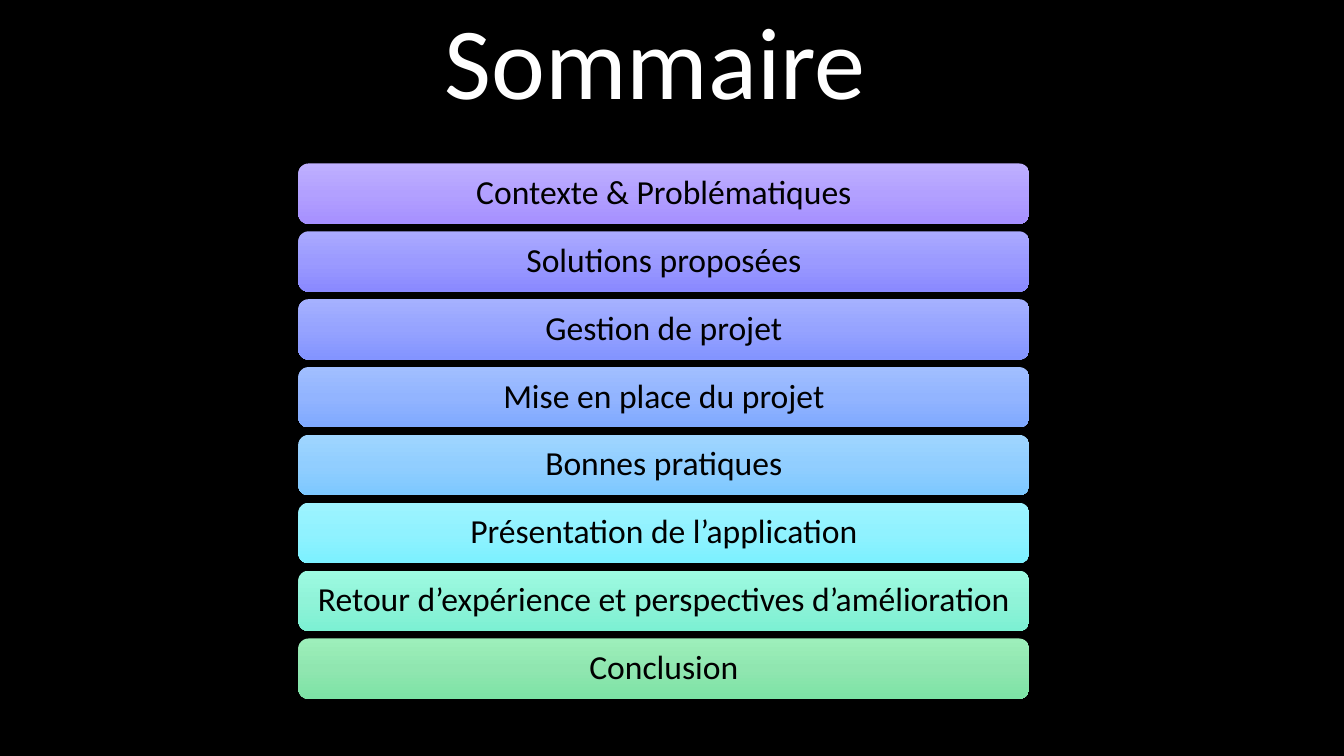
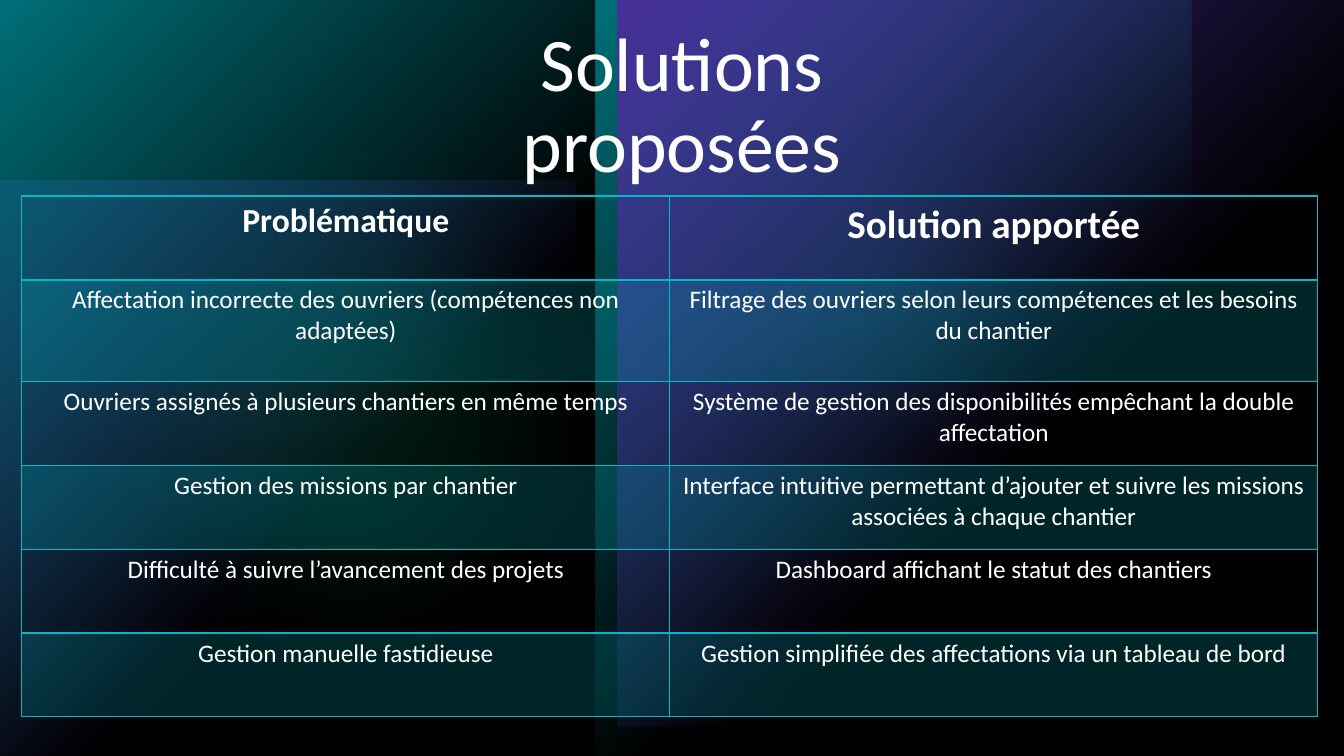
from lxml import etree
from pptx import Presentation
from pptx import util as u
from pptx.dml import color as dml
from pptx.enum import shapes, text
from pptx.oxml import ns

COLORS = {
    "black": "000000",
    "white": "FFFFFF",
    "teal": "00BAC8",
    "violet": "794DFF",
    "green": "00D17D",
}
FONT = "Calibri"
WIDTH, HEIGHT = 33.87, 19.05


def paint(properties, stops, angle=0):
    if len(stops) == 1:
        parents = [etree.SubElement(properties, ns.qn("a:solidFill"))]
    else:
        gradient = etree.SubElement(properties, ns.qn("a:gradFill"), rotWithShape="1")
        stop_list = etree.SubElement(gradient, ns.qn("a:gsLst"))
        parents = [
            etree.SubElement(stop_list, ns.qn("a:gs"), pos=str(position * 1000))
            for position, _, _ in stops
        ]
        etree.SubElement(gradient, ns.qn("a:lin"), ang=str(angle * 60000), scaled="0")
    for parent, (_, color, alpha) in zip(parents, stops):
        value = etree.SubElement(parent, ns.qn("a:srgbClr"), val=color)
        if alpha < 100:
            etree.SubElement(value, ns.qn("a:alpha"), val=str(alpha * 1000))


def write(frame, content, size, color, bold=False, spacing=1.0):
    frame.word_wrap = True
    paragraph = frame.paragraphs[0]
    paragraph.alignment = text.PP_ALIGN.CENTER
    paragraph.line_spacing = spacing
    run = paragraph.add_run()
    run.text = content
    run.font.name = FONT
    run.font.size = u.Pt(size)
    run.font.bold = bold
    run.font.color.rgb = dml.RGBColor.from_string(COLORS[color])


presentation = Presentation()
presentation.slide_width = u.Cm(WIDTH)
presentation.slide_height = u.Cm(HEIGHT)
background = presentation.slide_master.background.fill
background.solid()
background.fore_color.rgb = dml.RGBColor.from_string(COLORS["black"])
blank = presentation.slide_layouts[6]
summary = presentation.slides.add_slide(blank)
solutions = presentation.slides.add_slide(blank)

chapters = [
    ("Contexte & Problématiques", "BFB0FF", "B2A0FF", "A690FF"),
    ("Solutions proposées", "AAAAFF", "9B9AFF", "8A89FF"),
    ("Gestion de projet", "A5B1FF", "96A3FF", "8394FF"),
    ("Mise en place du projet", "A1BFFF", "92B4FF", "7FA9FF"),
    ("Bonnes pratiques", "9FD5FF", "91CEFF", "7DC8FF"),
    ("Présentation de l’application", "9EF4FF", "90F2FF", "7CF1FF"),
    ("Retour d’expérience et perspectives d’amélioration", "9DFBE1", "90F3D8", "7CF1D3"),
    ("Conclusion", "9DEFBB", "90E6B0", "7CE3A5"),
]
for index, (chapter, top_color, middle_color, bottom_color) in enumerate(chapters):
    shape = summary.shapes.add_shape(
        shapes.MSO_SHAPE.ROUNDED_RECTANGLE,
        u.Cm(7.52), u.Cm(4.12 + index * 1.71), u.Cm(18.42), u.Cm(1.52),
    )
    stops = [(0, top_color, 100), (50, middle_color, 100), (100, bottom_color, 100)]
    paint(shape._element.spPr, stops, 90)
    shape.line.fill.background()
    shape.shadow.inherit = False
    shape.text_frame.vertical_anchor = text.MSO_ANCHOR.MIDDLE
    write(shape.text_frame, chapter, 24, "black", spacing=0.9)

rectangle, oval = shapes.MSO_SHAPE.RECTANGLE, shapes.MSO_SHAPE.OVAL
teal_glow = [(0, COLORS["teal"], 100), (60, COLORS["teal"], 0)]
violet_glow = [(0, COLORS["violet"], 100), (60, COLORS["violet"], 0)]
faint_violet_glow = [(0, COLORS["violet"], 60), (60, COLORS["violet"], 0)]
backdrop = [
    (rectangle, 0, 4.56, 14.5, 14.5, faint_violet_glow),
    (oval, 15.98, 1.09, 11.99, 11.99, [(0, COLORS["green"], 60)]),
    (oval, 0, 1.42, 17.63, 17.63, [(0, COLORS["green"], 20)]),
    (rectangle, 0, 0, 15.01, HEIGHT, teal_glow),
    (rectangle, 15.01, 0, 15.01, HEIGHT, teal_glow),
    (rectangle, 15.56, 0, 18.31, 18.31, violet_glow),
    (rectangle, 0, 0, WIDTH, HEIGHT, [(0, COLORS["black"], 40)]),
]
for kind, left, top, width, height, stops in backdrop:
    shape = solutions.shapes.add_shape(kind, u.Cm(left), u.Cm(top), u.Cm(width), u.Cm(height))
    paint(shape._element.spPr, stops, 45)
    shape.line.fill.background()
    shape.shadow.inherit = False
    if kind == oval:
        effects = shape._element.spPr.find(ns.qn("a:effectLst"))
        etree.SubElement(effects, ns.qn("a:softEdge"), rad="1270000")

titles = [
    (summary, "Sommaire", 72.9, (10.8, 0.03, 11.43, 3.15), 0.25, text.MSO_ANCHOR.BOTTOM),
    (solutions, "Solutions proposées", 54, (9.17, 0.53, 16.03, 2.21), 0.8, text.MSO_ANCHOR.TOP),
]
for slide, title, size, box, inset, anchor in titles:
    frame = slide.shapes.add_textbox(*map(u.Cm, box)).text_frame
    frame.margin_left = frame.margin_right = u.Cm(inset)
    frame.vertical_anchor = anchor
    write(frame, title, size, "white", spacing=0.9)

rows = [
    ("Problématique", "Solution apportée"),
    (
        "Affectation incorrecte des ouvriers (compétences non adaptées)",
        "Filtrage des ouvriers selon leurs compétences et les besoins du chantier",
    ),
    (
        "Ouvriers assignés à plusieurs chantiers en même temps",
        "Système de gestion des disponibilités empêchant la double affectation",
    ),
    (
        "Gestion des missions par chantier",
        "Interface intuitive permettant d’ajouter et suivre les missions associées à chaque chantier",
    ),
    (
        "Difficulté à suivre l’avancement des projets",
        "Dashboard affichant le statut des chantiers",
    ),
    (
        "Gestion manuelle fastidieuse",
        "Gestion simplifiée des affectations via un tableau de bord",
    ),
]
row_heights = [2.11, 2.57, 2.11, 2.11, 2.11, 2.11]
header_sizes = [24, 28]
table = solutions.shapes.add_table(
    len(rows), 2, u.Cm(0.55), u.Cm(4.94), u.Cm(32.66), u.Cm(sum(row_heights))
).table
table.first_row = False
table.horz_banding = False
for row_index, row in enumerate(rows):
    table.rows[row_index].height = u.Cm(row_heights[row_index])
    is_header = row_index == 0
    for column_index, content in enumerate(row):
        cell = table.cell(row_index, column_index)
        size = header_sizes[column_index] if is_header else 18
        write(cell.text_frame, content, size, "white", bold=is_header)
        properties = cell._tc.get_or_add_tcPr()
        for side in ("L", "R", "T", "B"):
            thick = (side, row_index) in (("B", 0), ("T", 1))
            border = etree.SubElement(
                properties, ns.qn("a:ln" + side), w=str(u.Pt(2 if thick else 1))
            )
            paint(border, [(0, COLORS["teal"], 100)])
        if row_index % 2:
            paint(properties, [(0, COLORS["teal"], 20)])
        else:
            cell.fill.background()

presentation.save("out.pptx")
